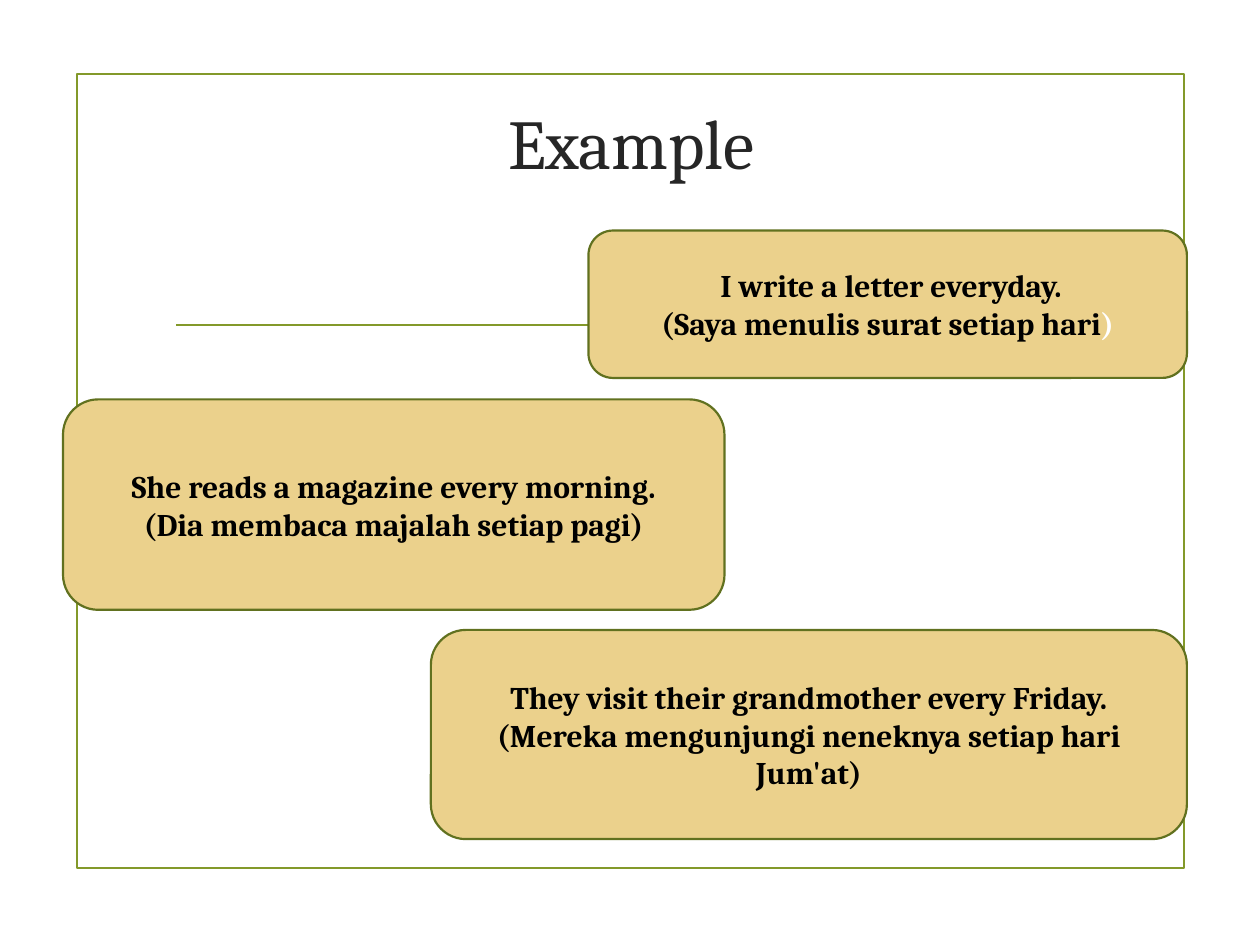
"""Build the Example slide with three sentence cards."""
from dataclasses import dataclass

from lxml.etree import SubElement
from pptx import Presentation
from pptx.dml.color import RGBColor
from pptx.enum.shapes import MSO_CONNECTOR, MSO_SHAPE
from pptx.enum.text import MSO_ANCHOR, PP_ALIGN
from pptx.oxml.ns import qn
from pptx.util import Inches, Pt


@dataclass(frozen=True)
class Theme:
    font: str = "Cambria"
    title_size: int = 40
    card_size: int = 18
    line_width: float = 1.25
    title: str = "262626"
    text: str = "000000"
    light: str = "FFFFFF"
    frame: str = "83992A"
    card: str = "EBD18C"
    card_line: str = "61711F"


THEME = Theme()

CARDS = [
    ((3.42, 5, 6, 1.66), "They visit their grandmother every Friday.",
     "(Mereka mengunjungi neneknya setiap hari Jum'at)", ""),
    ((0.5, 3.17, 5.25, 1.67), "She reads a magazine every morning.",
     "(Dia membaca majalah setiap pagi)", ""),
    ((4.67, 1.83, 4.75, 1.17), " I write a letter everyday.",
     "(Saya menulis surat setiap hari", ")"),
]


def add_text(paragraph, text, size=THEME.card_size, color=THEME.text, bold=False):
    paragraph.alignment = PP_ALIGN.CENTER
    run = paragraph.add_run()
    run.text = text
    run.font.name = THEME.font
    run.font.size = Pt(size)
    run.font.bold = bold
    run.font.color.rgb = RGBColor.from_string(color)


def set_line(line, color):
    line.color.rgb = RGBColor.from_string(color)
    line.width = Pt(THEME.line_width)


def add_box(slide, kind, bounds, line_color, fill=None):
    shape = slide.shapes.add_shape(kind, *map(Inches, bounds))
    shape.shadow.inherit = False
    set_line(shape.line, line_color)
    if fill:
        shape.fill.solid()
        shape.fill.fore_color.rgb = RGBColor.from_string(fill)
    else:
        shape.fill.background()
    return shape


def add_rule(slide, left, right, top):
    points = map(Inches, (left, top, right, top))
    rule = slide.shapes.add_connector(MSO_CONNECTOR.STRAIGHT, *points)
    set_line(rule.line, THEME.frame)
    SubElement(rule._element.spPr, qn("a:effectLst"))


def set_title(slide, text, bounds):
    title = slide.shapes.title
    title.left, title.top, title.width, title.height = map(Inches, bounds)
    title.text_frame.vertical_anchor = MSO_ANCHOR.MIDDLE
    add_text(title.text_frame.paragraphs[0], text,
             size=THEME.title_size, color=THEME.title)


def add_card(slide, bounds, sentence, translation, light_ending):
    card = add_box(slide, MSO_SHAPE.ROUNDED_RECTANGLE, bounds,
                   THEME.card_line, THEME.card)
    frame = card.text_frame
    frame.word_wrap = True
    frame.vertical_anchor = MSO_ANCHOR.MIDDLE
    add_text(frame.paragraphs[0], sentence, bold=True)
    paragraph = frame.add_paragraph()
    add_text(paragraph, translation, bold=True)
    if light_ending:
        add_text(paragraph, light_ending, color=THEME.light, bold=True)


def main():
    presentation = Presentation()
    presentation.slide_width = Inches(10)
    presentation.slide_height = Inches(7.5)
    slide = presentation.slides.add_slide(presentation.slide_layouts[5])
    add_box(slide, MSO_SHAPE.RECTANGLE, (0.61, 0.59, 8.79, 6.3), THEME.frame)
    add_rule(slide, 1.4, 8.61, 2.58)
    set_title(slide, "Example", (1.29, 0.41, 7.44, 1.43))
    for card in CARDS:
        add_card(slide, *card)
    presentation.save("out.pptx")


main()
